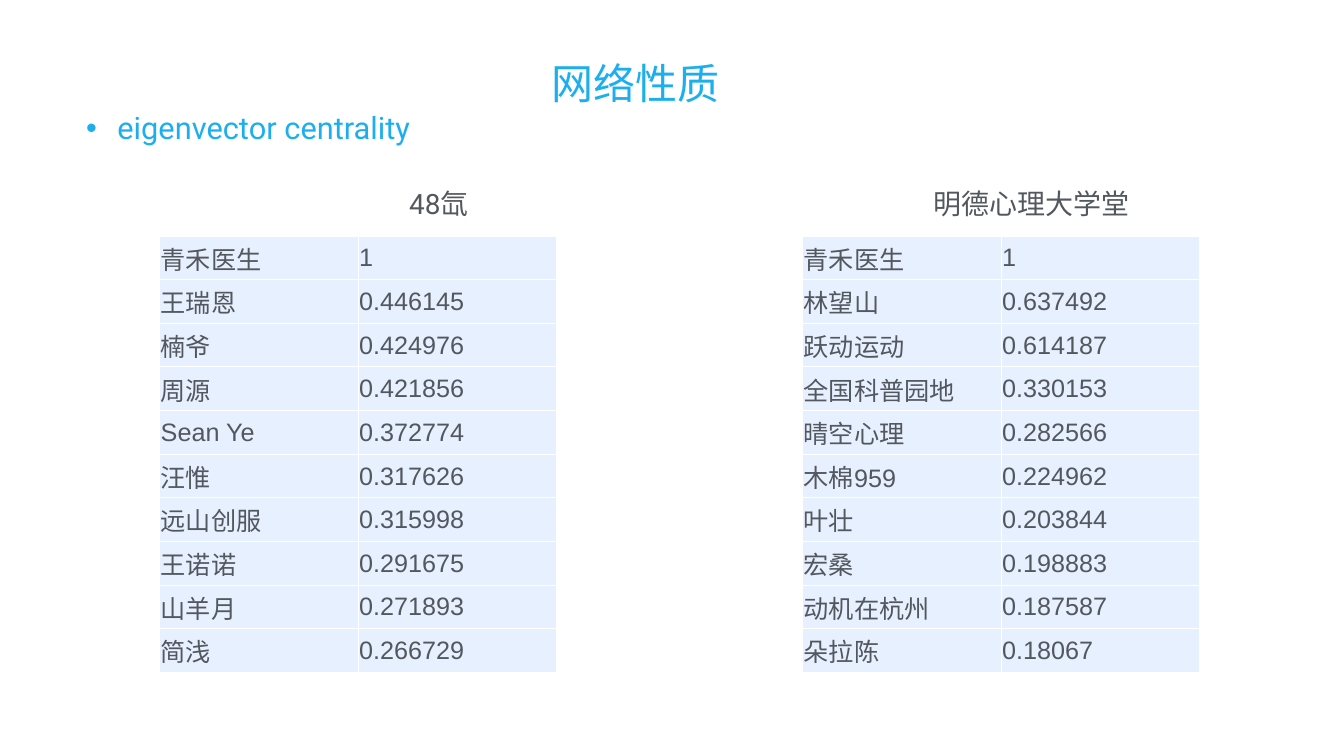
from lxml.etree import SubElement
from pptx import Presentation
from pptx.dml.color import RGBColor
from pptx.enum.text import MSO_ANCHOR, MSO_AUTO_SIZE, PP_ALIGN
from pptx.oxml import parse_xml
from pptx.oxml.ns import nsdecls, qn
from pptx.util import Pt

PX = 9144  # 100 px to the inch
COLORS = {"accent": "1DAFED", "text": "53585F", "cell": "E7F0FF", "border": "FFFFFF"}

LEFT_SCORES = [
    ("青禾医生", "1"), ("王瑞恩", "0.446145"), ("楠爷", "0.424976"),
    ("周源", "0.421856"), ("Sean Ye", "0.372774"), ("汪惟", "0.317626"),
    ("远山创服", "0.315998"), ("王诺诺", "0.291675"), ("山羊月", "0.271893"),
    ("简浅", "0.266729"),
]
RIGHT_SCORES = [
    ("青禾医生", "1"), ("林望山", "0.637492"), ("跃动运动", "0.614187"),
    ("全国科普园地", "0.330153"), ("晴空心理", "0.282566"), ("木棉959", "0.224962"),
    ("叶壮", "0.203844"), ("宏桑", "0.198883"), ("动机在杭州", "0.187587"),
    ("朵拉陈", "0.18067"),
]


def write_text(frame, text, size, color="text", font="Roboto",
               align=PP_ALIGN.LEFT, bullet_indent=0):
    frame.word_wrap = True
    paragraph = frame.paragraphs[0]
    paragraph.alignment = align
    paragraph.space_before = Pt(0)
    if bullet_indent:
        properties = paragraph._p.get_or_add_pPr()
        properties.set("marL", str(bullet_indent * PX))
        properties.set("indent", str(-bullet_indent * PX))
        SubElement(properties, qn("a:buFont")).set("typeface", "Arial")
        SubElement(properties, qn("a:buChar")).set("char", "•")
    run = paragraph.add_run()
    run.text = text
    run.font.size = Pt(size)
    run.font.name = font
    run.font.color.rgb = RGBColor.from_string(COLORS[color])


class SlideBuilder:
    def __init__(self, presentation):
        self.slide = presentation.slides.add_slide(presentation.slide_layouts[1])

    def fill_frame(self, shape, box, text, **style):
        shape.left, shape.top, shape.width, shape.height = (n * PX for n in box)
        frame = shape.text_frame
        frame.auto_size = MSO_AUTO_SIZE.NONE
        frame.vertical_anchor = MSO_ANCHOR.MIDDLE
        frame.margin_left = frame.margin_right = 10 * PX
        frame.margin_top = frame.margin_bottom = 0
        write_text(frame, text, **style)

    def placeholder(self, index, box, text, **style):
        self.fill_frame(self.slide.placeholders[index], box, text, color="accent", **style)

    def caption(self, box, text):
        shape = self.slide.shapes.add_textbox(0, 0, PX, PX)
        self.fill_frame(shape, box, text, size=40, align=PP_ALIGN.CENTER)

    def table(self, box, rows):
        table = self.slide.shapes.add_table(
            len(rows), len(rows[0]), *(n * PX for n in box)).table
        table.first_row = table.horz_banding = False
        for row_index, row in enumerate(rows):
            for column_index, text in enumerate(row):
                self.format_cell(table.cell(row_index, column_index), text)

    def format_cell(self, cell, text):
        cell.margin_left = cell.margin_right = cell.margin_top = 2 * PX
        cell.margin_bottom = 0
        cell.vertical_anchor = MSO_ANCHOR.MIDDLE
        cell.fill.solid()
        cell.fill.fore_color.rgb = RGBColor.from_string(COLORS["cell"])
        # Borders come before the fill in the cell properties
        for position, side in enumerate("LRTB"):
            cell._tc.get_or_add_tcPr().insert(position, parse_xml(
                f'<a:ln{side} {nsdecls("a")} w="{Pt(1)}"><a:solidFill>'
                f'<a:srgbClr val="{COLORS["border"]}"/></a:solidFill></a:ln{side}>'))
        write_text(cell.text_frame, text, size=36, font="Arial")


def main():
    presentation = Presentation()
    presentation.slide_width = 2667 * PX
    presentation.slide_height = 1500 * PX
    builder = SlideBuilder(presentation)

    # Title and topic
    builder.placeholder(0, (161, 110, 2200, 110), "网络性质", size=60, align=PP_ALIGN.CENTER)
    builder.placeholder(1, (161, 215, 2200, 76), "eigenvector centrality",
                        size=44, bullet_indent=62)

    # Centrality tables
    for left, rows in ((317, LEFT_SCORES), (1593, RIGHT_SCORES)):
        builder.table((left, 468, 787, 866), rows)

    # Table captions
    builder.caption((589, 365, 564, 77), "48氙")
    builder.caption((1645, 365, 804, 77), "明德心理大学堂")

    presentation.save("out.pptx")


if __name__ == "__main__":
    main()
